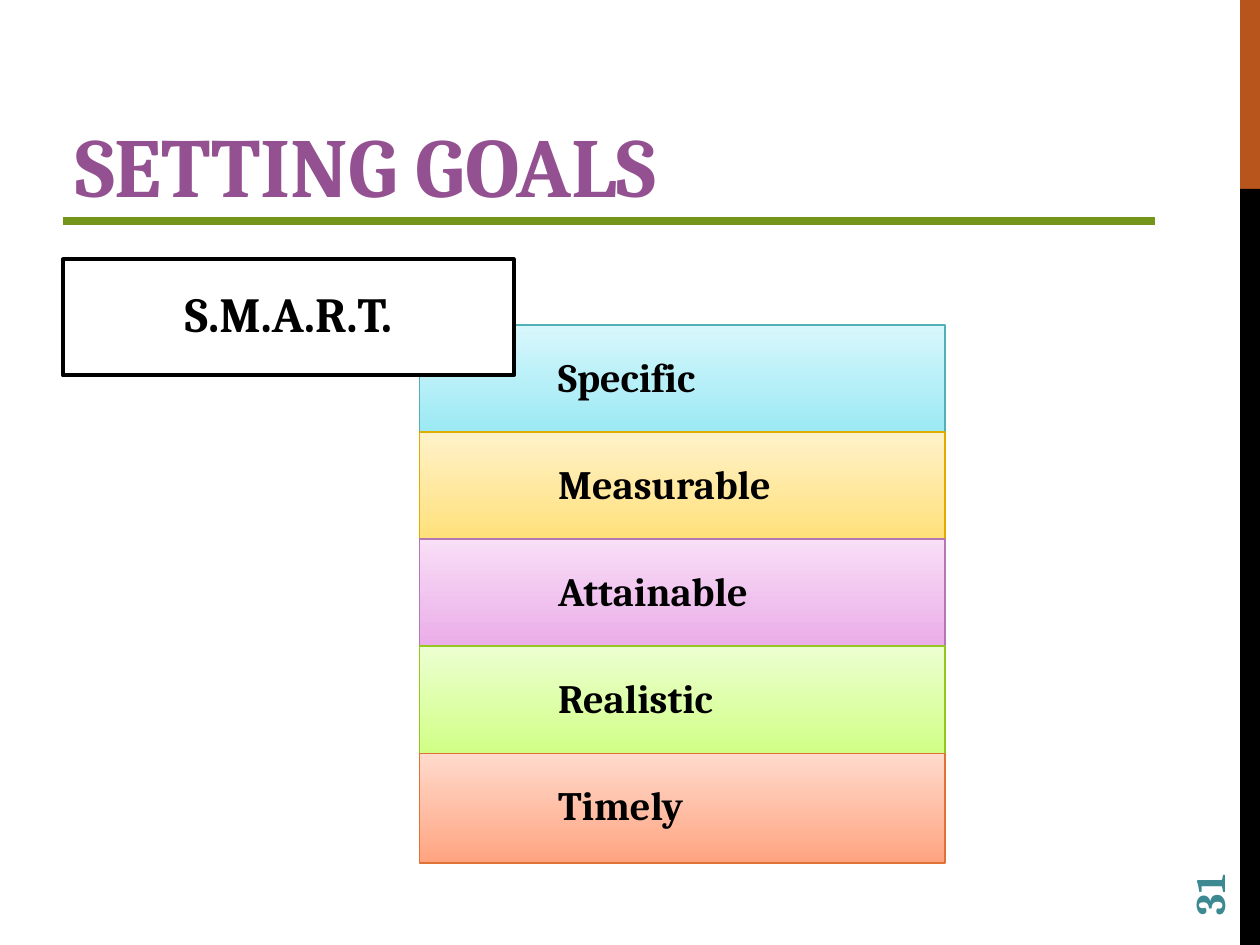
from pptx import Presentation
from pptx.dml.color import RGBColor
from pptx.enum.shapes import MSO_CONNECTOR, MSO_SHAPE
from pptx.enum.text import MSO_ANCHOR, PP_ALIGN
from pptx.oxml.ns import qn
from pptx.util import Cm, Pt
from lxml.etree import SubElement

GOALS = [
    ("Specific", "9AE9F4", "D8F7FC", "54AEB7"),
    ("Measurable", "FFE078", "FFF2CA", "DEAD00"),
    ("Attainable", "EAACE7", "F8DEF7", "B477B1"),
    ("Realistic", "D0FF84", "ECFFD0", "96C71E"),
    ("Timely", "FFA480", "FFDACC", "DF7336"),
]
LEFT, TOP, WIDE, HIGH, STEP = 8.46, 6.55, 10.59, 2.21, 2.16


def color(text):
    return RGBColor.from_string(text)


def apply(item, values):
    for name, value in values.items():
        setattr(item, name, value)


def write(shape, text, size, ink="000000", indent=0, anchor=MSO_ANCHOR.MIDDLE,
          **form):
    """Put one bold line into a shape; form holds paragraph values."""
    frame = shape.text_frame
    apply(frame, {"word_wrap": True, "vertical_anchor": anchor})
    line = frame.paragraphs[0]
    line.text = text
    apply(line, {"alignment": PP_ALIGN.LEFT, **form})
    if indent:
        line._p.get_or_add_pPr().set("marL", str(Cm(indent)))
    font = line.runs[0].font
    apply(font, {"name": "Cambria", "size": Pt(size), "bold": True})
    font.color.rgb = color(ink)


def add_rect(slide, area, fills, edge=None, width=1):
    """Draw a box; two fills run from the bottom to the top."""
    box = slide.shapes.add_shape(MSO_SHAPE.RECTANGLE, *map(Cm, area))
    box.shadow.inherit = False
    if len(fills) == 1:
        box.fill.solid()
        box.fill.fore_color.rgb = color(fills[0])
    else:
        box.fill.gradient()
        box.fill.gradient_angle = 90
        for stop, fill in zip(box.fill.gradient_stops, fills):
            stop.color.rgb = color(fill)
    if edge:
        box.line.color.rgb = color(edge)
        box.line.width = Pt(width)
    else:
        box.line.fill.background()
    return box


def add_rule(slide, ends, ink, width):
    rule = slide.shapes.add_connector(MSO_CONNECTOR.STRAIGHT, *map(Cm, ends))
    rule.line.color.rgb = color(ink)
    rule.line.width = Pt(width)
    SubElement(rule._element.spPr, qn("a:effectLst"))


def add_text(slide, area, text, size, ink, turn=0, **form):
    box = slide.shapes.add_textbox(*map(Cm, area))
    box.rotation = turn
    write(box, text, size, ink, **form)


def main():
    deck = Presentation()
    apply(deck, {"slide_width": Cm(25.4), "slide_height": Cm(19.05)})
    slide = deck.slides.add_slide(deck.slide_layouts[6])

    add_rect(slide, (25, 0, 0.4, 3.81), ["B8551D"])
    add_rect(slide, (25, 3.81, 0.4, 15.24), ["000000"])
    add_rule(slide, (1.27, 4.45, 23.29, 4.45), "72951A", 4.75)

    for row, (word, low, high, edge) in enumerate(GOALS):
        area = (LEFT, TOP + row * STEP, WIDE, HIGH)
        box = add_rect(slide, area, [low, high], edge)
        write(box, word, 23, indent=2.54, line_spacing=0.85)

    add_text(slide, (1.27, 2.03, 22.86, 2.41), "SETTING GOALS", 48, "945191",
             anchor=MSO_ANCHOR.BOTTOM)
    label = add_rect(slide, (1.27, 5.23, 9.09, 2.34), ["FFFFFF"], "000000", 2.25)
    write(label, "S.M.A.R.T.", 28, alignment=PP_ALIGN.CENTER, line_spacing=0.85)
    add_text(slide, (22.61, 16.36, 3.66, 1.02), "31", 24, "3D8991", turn=270,
             line_spacing=0.85)

    deck.save("out.pptx")


if __name__ == "__main__":
    main()
